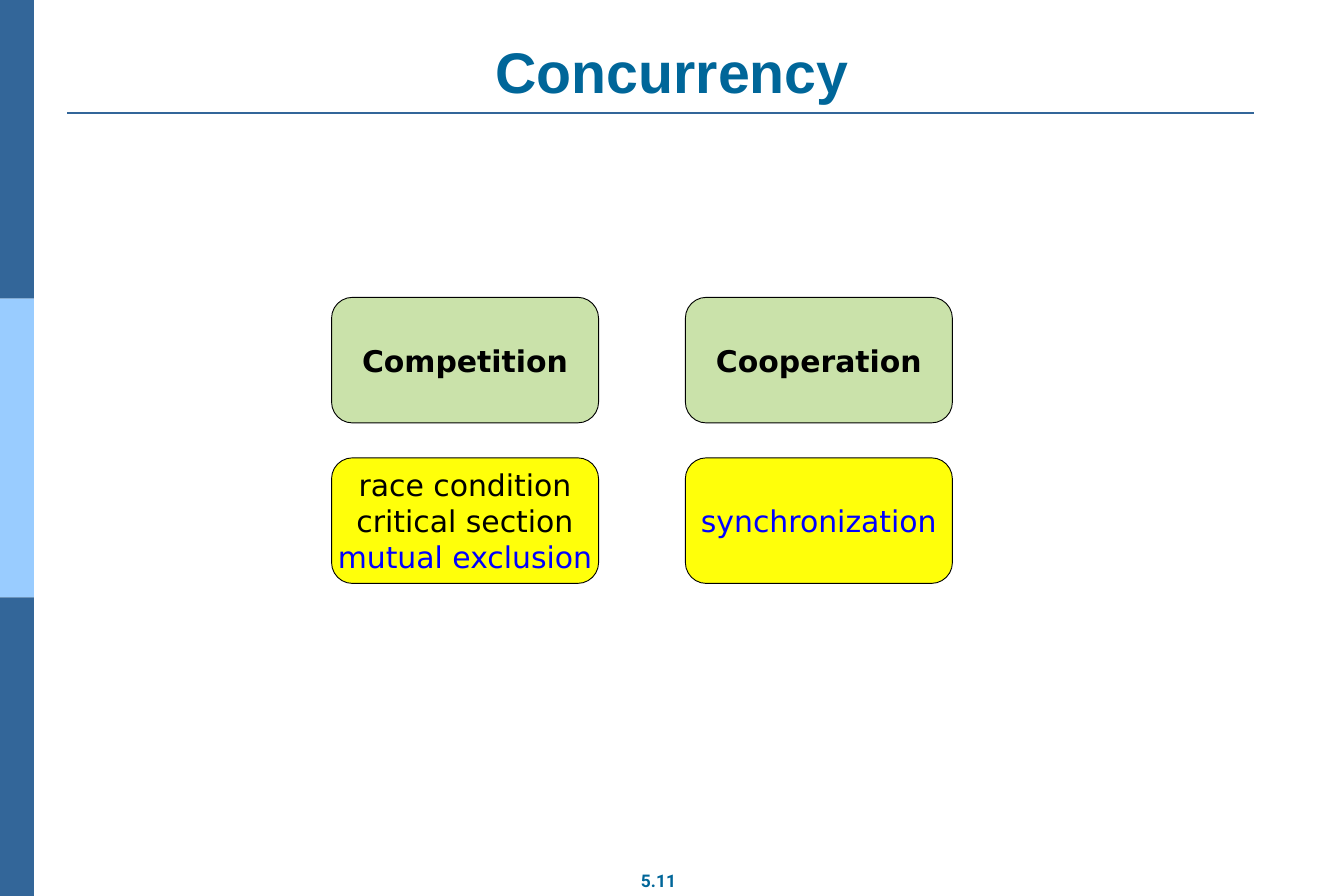
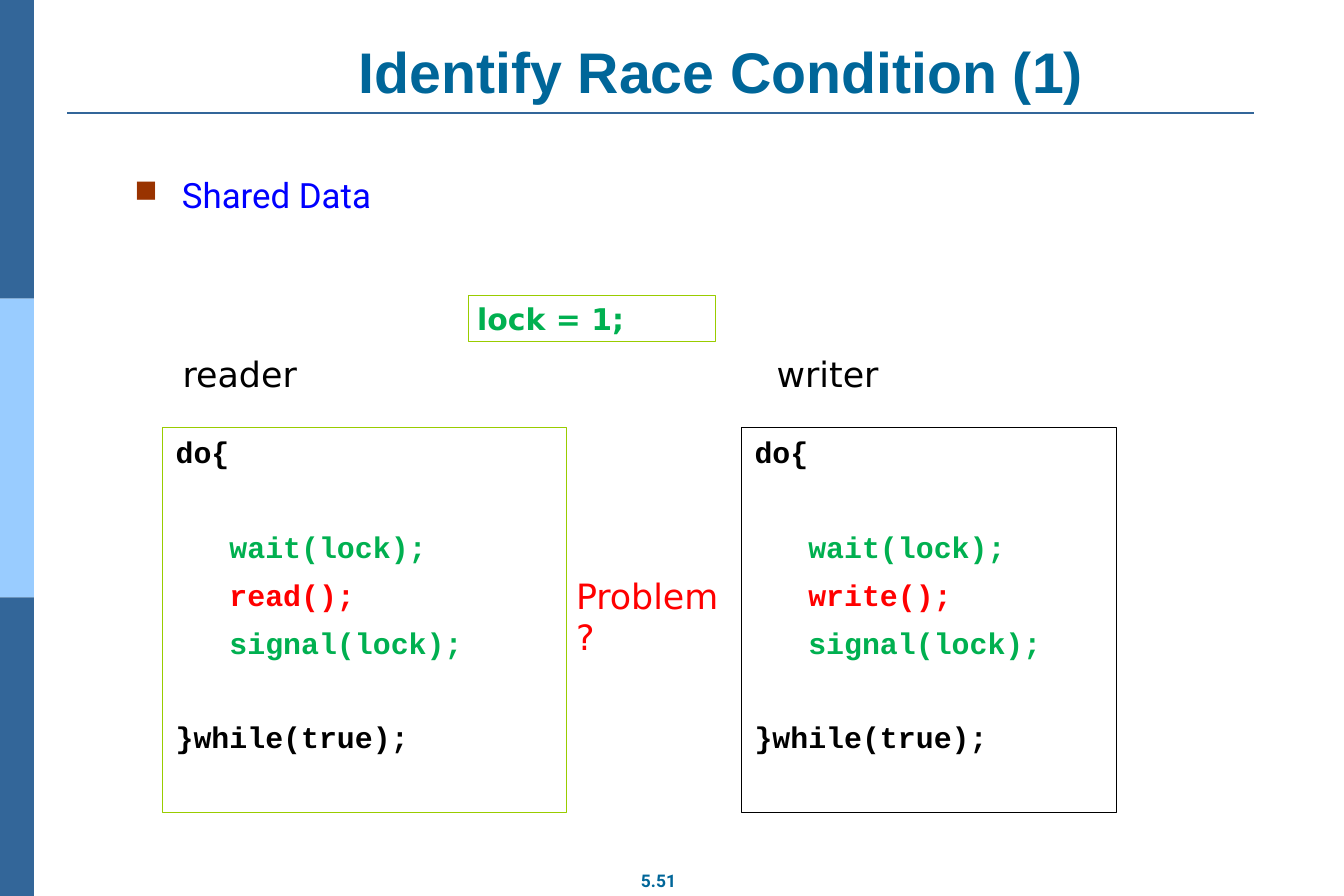
"""Build two slides on concurrency and race conditions."""
from lxml import etree
from pptx import Presentation
from pptx import util as u
from pptx.dml import color
from pptx.enum import shapes, text
from pptx.oxml import ns

WIDE, HIGH = 38.1, 25.4
NAVY, SKY, TEAL = "336699", "99CCFF", "006699"
SAGE, SUN, LIME = "CAE2AA", "FFFF0A", "99CC00"
BLACK, BLUE, RED, GREEN, RUST = "000000", "0000FF", "FF0000", "00B050", "993300"
SANS, CODE, HEAD, BODY = "DejaVu Sans", "Courier New", "Arial", "Roboto"
LEFT, MID = text.PP_ALIGN.LEFT, text.PP_ALIGN.CENTER
TOP, HALF, BASE = (text.MSO_ANCHOR.TOP, text.MSO_ANCHOR.MIDDLE,
                   text.MSO_ANCHOR.BOTTOM)
WIDEPAD, PAD = (0.36, 0.18), (0.25, 0.13)


def rgb(tone):
    """Turn a hex string into a colour."""
    return color.RGBColor.from_string(tone)


def edge(line, tone, size=0.75):
    """Give a line its colour and width."""
    line.color.rgb = rgb(tone)
    line.width = u.Pt(size)


def block(slide, kind, box, fill, line=None):
    """Add a filled preset shape."""
    shape = slide.shapes.add_shape(kind, *map(u.Cm, box))
    shape.shadow.inherit = False
    shape.fill.solid()
    shape.fill.fore_color.rgb = rgb(fill)
    if line:
        edge(shape.line, line)
    else:
        shape.line.fill.background()
    return shape


def write(shape, lines, size, face, bold=False, align=LEFT, anchor=TOP,
          pad=PAD, wrap=True):
    """Fill a shape with (text, colour) lines in one style."""
    frame = shape.text_frame
    frame.word_wrap = wrap
    frame.vertical_anchor = anchor
    frame.margin_left = frame.margin_right = u.Cm(pad[0])
    frame.margin_top = frame.margin_bottom = u.Cm(pad[1])
    frame.text = "\n".join(words for words, _ in lines)
    for para, (_, tone) in zip(frame.paragraphs, lines):
        para.alignment = align
        for run in para.runs:
            run.font.size = u.Pt(size)
            run.font.name = face
            run.font.bold = bold
            run.font.color.rgb = rgb(tone)
    return frame


def label(slide, box, words, tone, size, face, **style):
    """Add a text box with one line of text."""
    shape = slide.shapes.add_textbox(*map(u.Cm, box))
    write(shape, [(words, tone)], size, face, **style)
    return shape


def base(deck, title, left, page):
    """Start a slide with side bands, rule, title and page number."""
    slide = deck.slides.add_slide(deck.slide_layouts[6])
    part = HIGH / 3
    for row, tone in enumerate((NAVY, SKY, NAVY)):
        block(slide, shapes.MSO_SHAPE.RECTANGLE,
              (0, row * part, 0.96, part), tone)
    rule = slide.shapes.add_connector(
        shapes.MSO_CONNECTOR.STRAIGHT,
        *map(u.Cm, (1.9, 3.2, 35.56, 3.2)))
    edge(rule.line, NAVY, 1.5)
    etree.SubElement(rule.element.spPr, ns.qn("a:effectLst"))
    label(slide, (left, 1.02, 36.2 - left, 2.13), title, TEAL, 46, HEAD,
          bold=True, align=MID, anchor=BASE, pad=WIDEPAD)
    label(slide, (17.78, 24.5, 1.78, 0.9), page, TEAL, 14, BODY, bold=True,
          align=MID, anchor=HALF, pad=(0, 0), wrap=False)
    return slide


def card(slide, box, fill, lines, bold):
    """Add a rounded card with centred lines."""
    shape = block(slide, shapes.MSO_SHAPE.ROUNDED_RECTANGLE, box, fill, BLACK)
    write(shape, lines, 24, SANS, bold, MID, HALF, wrap=False)


def cards(slide, left, top):
    """Lay out two columns, each a heading card over a topic card."""
    topics = {
        "Competition": [("race condition", BLACK), ("critical section", BLACK),
                        ("mutual exclusion", BLUE)],
        "Cooperation": [("synchronization", BLUE)],
    }
    for col, (name, lines) in enumerate(topics.items()):
        rows = ((SAGE, [(name, BLACK)], True), (SUN, lines, False))
        for row, (fill, words, bold) in enumerate(rows):
            box = (left + col * 10.03, top + row * 4.55, 7.57, 3.56)
            card(slide, box, fill, words, bold)


def bullet(slide, box, words):
    """Add a line with a square bullet."""
    shape = label(slide, box, words, BLUE, 28, BODY, pad=WIDEPAD)
    props = shape.text_frame.paragraphs[0]._p.get_or_add_pPr()
    hang = u.Cm(1.35)
    props.set("marL", str(hang))
    props.set("indent", str(-hang))
    tint = etree.SubElement(props, ns.qn("a:buClr"))
    etree.SubElement(tint, ns.qn("a:srgbClr"), val=RUST)
    etree.SubElement(props, ns.qn("a:buSzPct"), val="90000")
    etree.SubElement(props, ns.qn("a:buChar"), char="■")


def task(slide, box, name, shift, call, tone):
    """Add a framed code listing with its name above."""
    left, top = box[:2]
    label(slide, (left + shift, top - 2.26, 8.51, 1.45), name, BLACK, 28, SANS)
    shape = slide.shapes.add_textbox(*map(u.Cm, box))
    edge(shape.line, tone)
    lines = [("do{", BLACK), ("   wait(lock);", GREEN), (f"   {call}();", RED),
             ("   signal(lock);", GREEN), ("}while(true);", BLACK)]
    frame = write(shape, lines, 24, CODE, bold=True, pad=WIDEPAD)
    for para, gap in zip(frame.paragraphs, (0, 47, 10, 10, 47)):
        para.space_before = u.Pt(gap)


def race(slide):
    """Fill the slide on the shared lock."""
    bullet(slide, (3.45, 4.75, 31.93, 2.29), "Shared Data")
    task(slide, (4.62, 12.12, 11.43, 10.92), "reader", 0.31, "read", LIME)
    task(slide, (21.03, 12.12, 10.62, 10.92), "writer", 0.74, "write", BLACK)
    lock = label(slide, (13.28, 8.38, 6.99, 1.3), "lock = 1;", GREEN, 24, SANS,
                 bold=True)
    edge(lock.line, LIME)
    label(slide, (16.08, 16.15, 4.95, 1.45), "Problem?", RED, 28, SANS,
          wrap=False)


def main():
    """Build and save the deck."""
    deck = Presentation()
    deck.slide_width, deck.slide_height = u.Cm(WIDE), u.Cm(HIGH)
    cards(base(deck, "Concurrency", 1.9, "5.11"), 9.4, 8.43)
    race(base(deck, "Identify Race Condition (1)", 4.67, "5.51"))
    deck.save("out.pptx")


if __name__ == "__main__":
    main()
